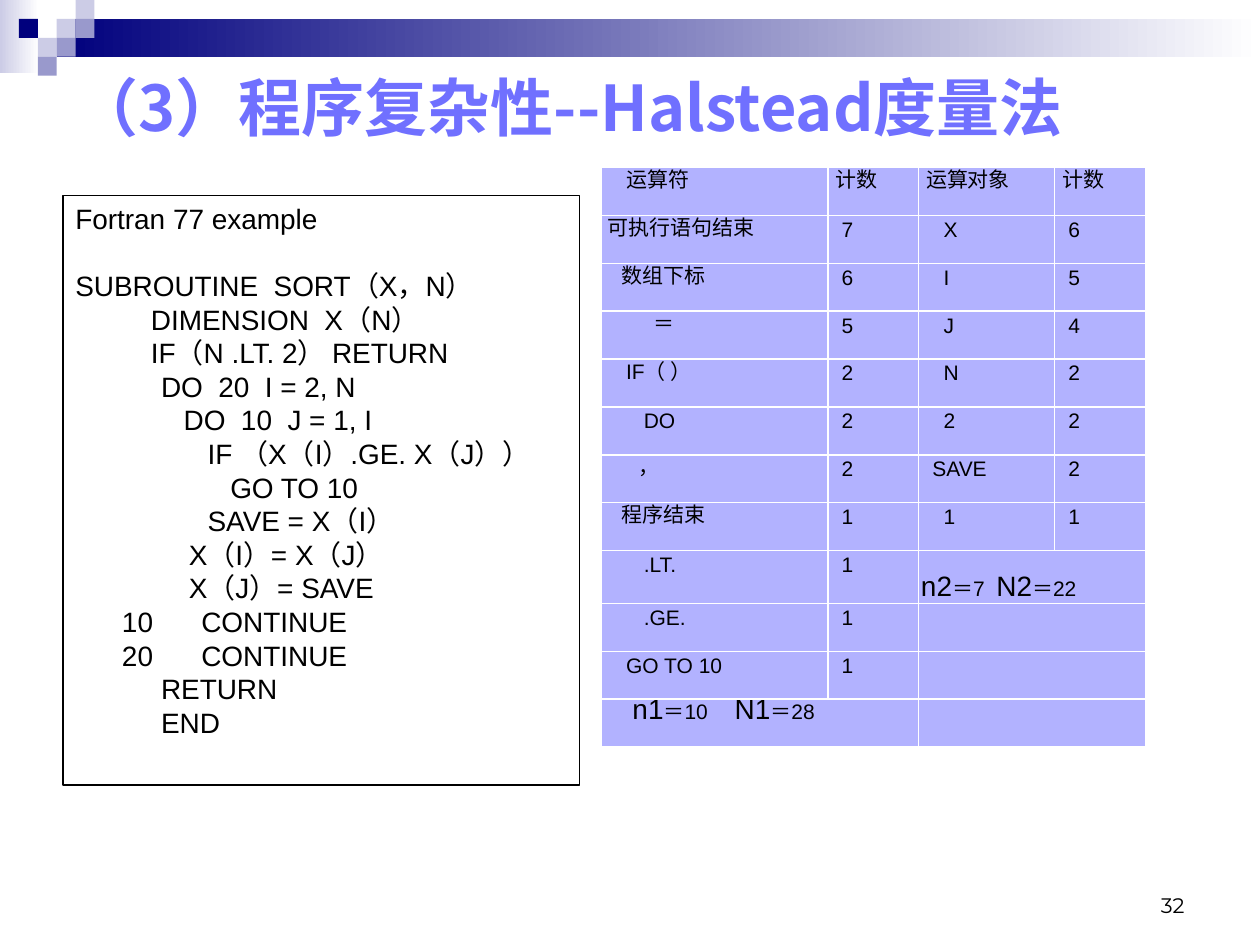
from dataclasses import dataclass

from lxml import etree
from pptx import Presentation
from pptx.dml.color import RGBColor
from pptx.enum.shapes import MSO_SHAPE
from pptx.enum.text import MSO_ANCHOR, PP_ALIGN
from pptx.oxml.ns import qn
from pptx.util import Inches, Pt

RECTANGLE = MSO_SHAPE.RECTANGLE
TOP, MIDDLE, BOTTOM = MSO_ANCHOR.TOP, MSO_ANCHOR.MIDDLE, MSO_ANCHOR.BOTTOM
LEFT, RIGHT, JUSTIFY = PP_ALIGN.LEFT, PP_ALIGN.RIGHT, PP_ALIGN.JUSTIFY


@dataclass(frozen=True)
class Theme:
    """Colours, fonts and type sizes of the slide."""
    navy: str = "00007D"
    lilac: str = "9999CC"
    pale: str = "CCCCE6"
    white: str = "FFFFFF"
    black: str = "000000"
    title: str = "7070FF"
    cell: str = "B2B2FF"
    latin: str = "Arial"
    cjk: str = "Noto Sans CJK SC"
    number: str = "Montserrat"
    title_size: int = 36
    code_size: int = 16
    cell_size: int = 12


THEME = Theme()

TITLE = "（3）程序复杂性--Halstead度量法"
PAGE_NUMBER = "32"

# Left, top, width, height, start colour
BANDS = [(0, 0, 0.31, 0.58, THEME.pale), (0.45, 0.15, 9.55, 0.3, THEME.navy)]
# Column and row on the grid of small squares, colour
SQUARE = 0.15
SQUARES = [
    (3, 1, THEME.pale), (4, 0, THEME.pale), (4, 1, THEME.lilac),
    (2, 2, THEME.pale), (1, 1, THEME.navy), (3, 2, THEME.lilac),
    (2, 3, THEME.lilac),
]

# First-line indent, text, tab stop
CODE = [
    (0, "Fortran 77 example", None),
    (0, "SUBROUTINE  SORT（X，N）", None),
    (0.6, "DIMENSION  X（N）", None),
    (0.6, "IF（N .LT. 2） RETURN", None),
    (0.68, "DO  20  I = 2, N", None),
    (0.86, "DO  10  J = 1, I", None),
    (1.05, "IF （X（I）.GE. X（J））", None),
    (1.23, "GO TO 10", None),
    (1.05, "SAVE = X（I）", None),
    (0.9, "X（I）= X（J）", None),
    (0.9, "X（J）= SAVE", None),
    (0.37, "10\tCONTINUE", 0.99),
    (0.37, "20\tCONTINUE", 0.8),
    (0.68, "RETURN", None),
    (0.68, "END", None),
]

COLUMN_WIDTHS = [1.8, 0.72, 1.08, 0.72]
ROW_HEIGHTS = [0.38] * 8 + [0.42] + [0.38] * 3
HEADER = ["运算符", "计数", "运算对象", "计数"]
HEADER_INDENTS = [0.18, 0.04, 0.04, 0.04]
# Operator, its indent, its count
OPERATORS = [
    ("可执行语句结束", 0.03, "7"), ("数组下标", 0.14, "6"), ("＝", 0.4, "5"),
    ("IF（ ）", 0.18, "2"), ("DO", 0.32, "2"), ("，", 0.28, "2"),
    ("程序结束", 0.14, "1"), (".LT.", 0.32, "1"), (".GE.", 0.32, "1"),
    ("GO TO 10", 0.18, "1"),
]
OPERANDS = [("X", "6"), ("I", "5"), ("J", "4"), ("N", "2"), ("2", "2"),
            ("SAVE", "2"), ("1", "1")]
COUNT_INDENT = 0.09
# Large and small parts take turns
OPERATOR_TOTAL = ["n1", "＝10 \u2003", "N1", "＝28"]
OPERAND_TOTAL = ["n2", "＝7  ", "N2", "＝22"]
MERGES = [(8, 2), (9, 2), (10, 2), (11, 2), (11, 0)]


def color(value):
    """Turn a hex string into a colour."""
    return RGBColor.from_string(value)


def format_run(run, size, value=THEME.black, latin=THEME.latin, bold=False):
    """Set type size, colour and both the Latin and East Asian fonts."""
    font = run.font
    font.size, font.name, font.bold = Pt(size), latin, bold
    font.color.rgb = color(value)
    east_asian = etree.SubElement(run._r.get_or_add_rPr(), qn("a:ea"))
    east_asian.set("typeface", THEME.cjk)


def indent_first_line(paragraph, indent, tab=None):
    """Set the first-line indent and, if given, one tab stop."""
    properties = paragraph._p.get_or_add_pPr()
    properties.set("marL", "0")
    properties.set("indent", str(Inches(indent)))
    if tab:
        stops = etree.SubElement(properties, qn("a:tabLst"))
        etree.SubElement(stops, qn("a:tab"), pos=str(Inches(tab)), algn="l")


def add_rectangle(slide, left, top, width, height):
    """Add a rectangle without shadow or line."""
    shape = slide.shapes.add_shape(
        RECTANGLE, Inches(left), Inches(top), Inches(width), Inches(height))
    shape.shadow.inherit = False
    shape.line.fill.background()
    return shape


def add_decoration(slide):
    """Draw the gradient bands and the mosaic of squares."""
    for left, top, width, height, start in BANDS:
        fill = add_rectangle(slide, left, top, width, height).fill
        fill.gradient()
        fill.gradient_angle = 0
        for stop, value in zip(fill.gradient_stops, (start, THEME.white)):
            stop.color.rgb = color(value)
    for column, row, value in SQUARES:
        square = add_rectangle(
            slide, column * SQUARE, row * SQUARE, SQUARE, SQUARE)
        square.fill.solid()
        square.fill.fore_color.rgb = color(value)


def add_title(slide):
    """Place and format the title."""
    title = slide.shapes.title
    title.left, title.top = Inches(0.5), Inches(0.36)
    title.width, title.height = Inches(9), Inches(0.97)
    frame = title.text_frame
    frame.text = TITLE
    frame.vertical_anchor = MIDDLE
    frame.paragraphs[0].alignment = LEFT
    format_run(frame.paragraphs[0].runs[0], THEME.title_size, THEME.title,
               THEME.cjk, True)


def add_code(slide):
    """Add the framed program listing."""
    box = add_rectangle(slide, 0.5, 1.55, 4.1, 4.68)
    box.fill.background()
    box.line.color.rgb = color(THEME.black)
    box.line.width = Pt(0.75)
    frame = box.text_frame
    frame.word_wrap = True
    frame.vertical_anchor = TOP
    frame.text = "\n".join(text for _, text, _ in CODE)
    for paragraph, (indent, _, tab) in zip(frame.paragraphs, CODE):
        paragraph.alignment = LEFT
        paragraph.line_spacing = Pt(19.2)
        indent_first_line(paragraph, indent, tab)
        format_run(paragraph.runs[0], THEME.code_size)
    frame.paragraphs[0].space_after = Pt(19.2)


def style_cell(cell):
    """Set margins, white borders and fill of a cell."""
    cell.margin_left = cell.margin_right = Inches(0.02)
    cell.margin_top = cell.margin_bottom = 0
    properties = cell._tc.get_or_add_tcPr()
    for side in ("lnL", "lnR", "lnT", "lnB"):
        line = etree.SubElement(properties, qn(f"a:{side}"), w=str(Pt(1)))
        fill = etree.SubElement(line, qn("a:solidFill"))
        etree.SubElement(fill, qn("a:srgbClr"), val=THEME.white)
    cell.fill.solid()
    cell.fill.fore_color.rgb = color(THEME.cell)


def write_cell(cell, parts, indent, sizes=(THEME.cell_size,)):
    """Write text parts into a cell, cycling through the sizes."""
    paragraph = cell.text_frame.paragraphs[0]
    paragraph.alignment = JUSTIFY
    paragraph.line_spacing = Pt(15)
    indent_first_line(paragraph, indent)
    for index, part in enumerate(parts):
        run = paragraph.add_run()
        run.text = part
        format_run(run, sizes[index % len(sizes)])


def add_counts(slide):
    """Add the table of operators and operands."""
    table = slide.shapes.add_table(
        len(ROW_HEIGHTS), len(COLUMN_WIDTHS), Inches(4.77), Inches(1.33),
        Inches(sum(COLUMN_WIDTHS)), Inches(sum(ROW_HEIGHTS))).table
    for column, width in zip(table.columns, COLUMN_WIDTHS):
        column.width = Inches(width)
    for row, height in zip(table.rows, ROW_HEIGHTS):
        row.height = Inches(height)
    for cell in table.iter_cells():
        style_cell(cell)
    for row, column in MERGES:
        table.cell(row, column).merge(table.cell(row, column + 1))

    for column, (text, indent) in enumerate(zip(HEADER, HEADER_INDENTS)):
        write_cell(table.cell(0, column), [text], indent)
    for row, (name, indent, count) in enumerate(OPERATORS, 1):
        write_cell(table.cell(row, 0), [name], indent)
        write_cell(table.cell(row, 1), [count], COUNT_INDENT)
    for row, (name, count) in enumerate(OPERANDS, 1):
        indent = 0.18 if len(name) == 1 else 0.09
        write_cell(table.cell(row, 2), [name], indent)
        write_cell(table.cell(row, 3), [count], COUNT_INDENT)
    sizes = (THEME.code_size, THEME.cell_size)
    write_cell(table.cell(11, 0), OPERATOR_TOTAL, 0.23, sizes)
    write_cell(table.cell(8, 2), OPERAND_TOTAL, 0, sizes)
    table.cell(8, 2).margin_top = Pt(15)


def add_page_number(slide):
    """Add the page number at the lower right."""
    frame = slide.shapes.add_textbox(
        Inches(7.17), Inches(6.83), Inches(2.33), Inches(0.5)).text_frame
    frame.word_wrap = True
    frame.vertical_anchor = BOTTOM
    frame.text = PAGE_NUMBER
    frame.paragraphs[0].alignment = RIGHT
    format_run(frame.paragraphs[0].runs[0], THEME.cell_size,
               latin=THEME.number)


presentation = Presentation()
presentation.slide_width, presentation.slide_height = Inches(10), Inches(7.5)
slide = presentation.slides.add_slide(presentation.slide_layouts[5])
for add_part in (add_decoration, add_title, add_page_number, add_code,
                 add_counts):
    add_part(slide)
presentation.save("out.pptx")
